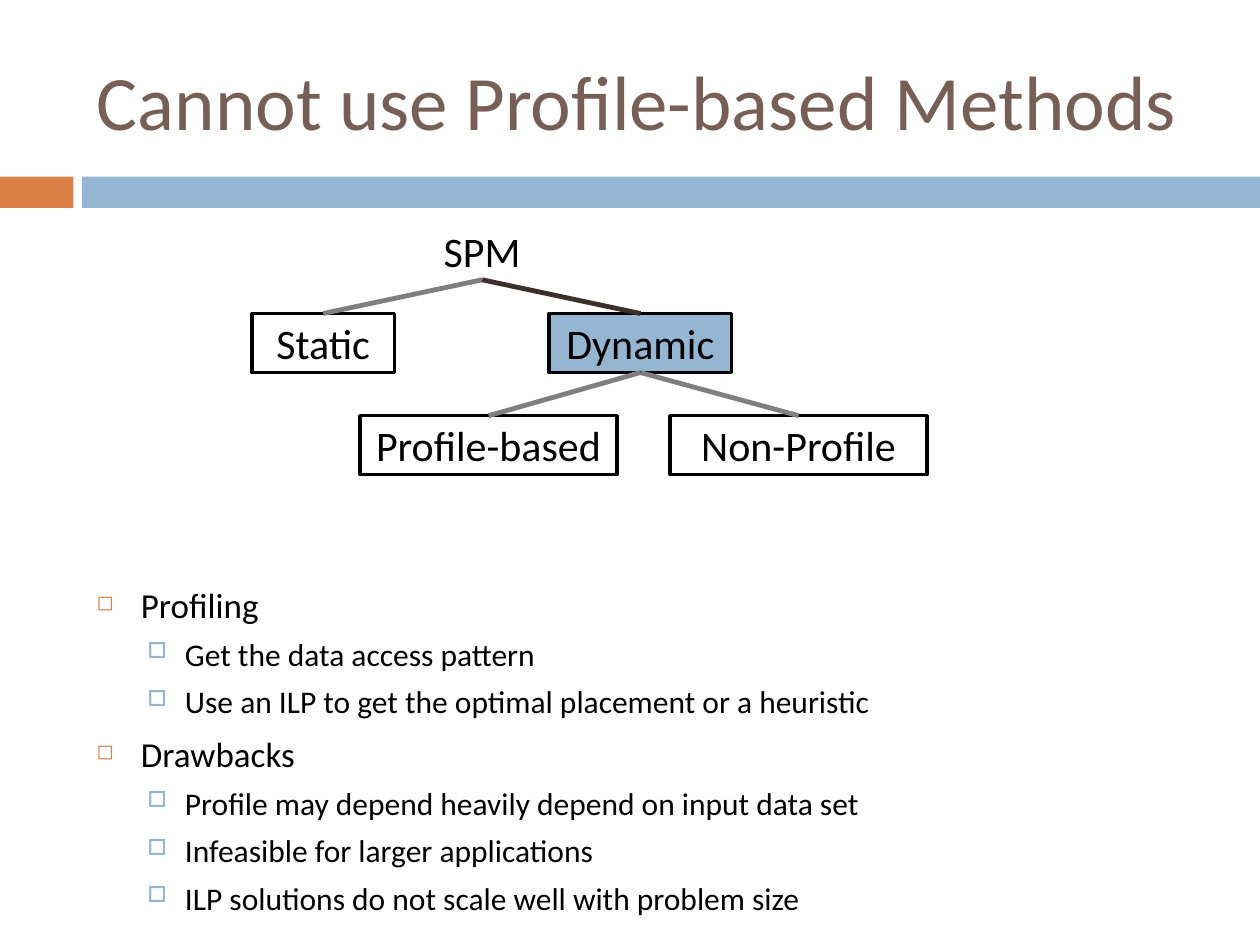
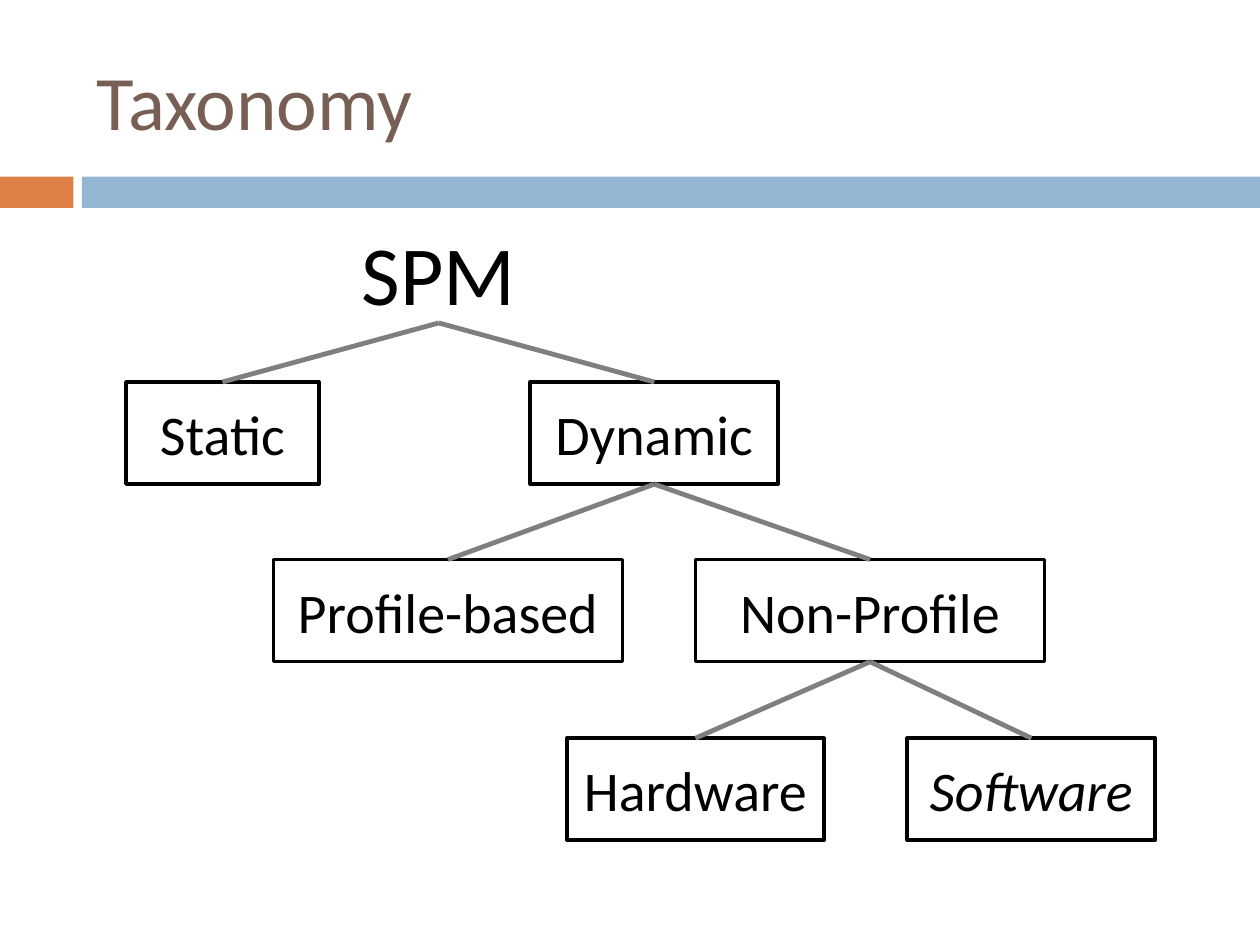
from dataclasses import dataclass

from lxml.etree import SubElement
from pptx import Presentation
from pptx.dml.color import RGBColor
from pptx.enum.shapes import MSO_CONNECTOR, MSO_SHAPE
from pptx.enum.text import MSO_ANCHOR, PP_ALIGN
from pptx.oxml.ns import qn
from pptx.shapes.autoshape import Shape
from pptx.slide import Slide
from pptx.text.text import _Paragraph as Paragraph
from pptx.util import Cm, Pt

ORANGE = RGBColor(0xDD, 0x80, 0x47)
BLUE = RGBColor(0x94, 0xB6, 0xD2)
BROWN = RGBColor(0x77, 0x5F, 0x55)
DARK_BROWN = RGBColor(0x3D, 0x30, 0x2B)
GREY = RGBColor(0x7F, 0x7F, 0x7F)
BLACK = RGBColor(0, 0, 0)

FONT = "Calibri"
PAGE_WIDTH, PAGE_HEIGHT = 25.4, 19.05
MARGIN, CONTENT_WIDTH = 1.7, 22.66
BAND_TOP, BAND_HEIGHT = 3.56, 0.63
BAND_SPLIT, BAND_GAP = 1.48, 0.17
BOTTOM_SITE, TOP_SITE = 2, 0


@dataclass(frozen=True)
class Node:
    name: str
    row: int
    left: float
    width: float
    parent: str = ""
    fill: RGBColor | None = None
    branch: RGBColor = GREY
    italic: bool = False


@dataclass(frozen=True)
class Tree:
    row_tops: tuple[float, ...]
    height: float
    root_size: int
    node_size: int
    nodes: tuple[Node, ...]


@dataclass(frozen=True)
class BulletStyle:
    mark: str
    color: RGBColor
    percent: int
    left: float
    hanging: float
    size: int
    space_before: float


BULLET_STYLES = (
    BulletStyle("◻", ORANGE, 60, 0.89, 0.89, 20, 7),
    BulletStyle("□", BLUE, 70, 1.78, 0.76, 18, 5.5),
)

PROFILE_POINTS = (
    (0, "Profiling"),
    (1, "Get the data access pattern"),
    (1, "Use an ILP to get the optimal placement or a heuristic"),
    (0, "Drawbacks"),
    (1, "Profile may depend heavily depend on input data set"),
    (1, "Infeasible for larger applications"),
    (1, "ILP solutions do not scale well with problem size"),
)

PROFILE_TREE = Tree(
    (4.45, 6.32, 8.38), 1.19, 24, 24,
    (
        Node("SPM", 0, 8.36, 2.72),
        Node("Static", 1, 5.08, 2.87, "SPM"),
        Node("Dynamic", 1, 11.07, 3.68, "SPM", fill=BLUE, branch=DARK_BROWN),
        Node("Profile-based", 2, 7.26, 5.18, "Dynamic"),
        Node("Non-Profile", 2, 13.51, 5.18, "Dynamic"),
    ),
)

TAXONOMY_TREE = Tree(
    (4.45, 7.7, 11.28, 14.88), 2.06, 48, 32,
    (
        Node("SPM", 0, 6.99, 3.71),
        Node("Static", 1, 2.54, 3.89, "SPM"),
        Node("Dynamic", 1, 10.69, 5, "SPM"),
        Node("Profile-based", 2, 5.51, 7.04, "Dynamic"),
        Node("Non-Profile", 2, 14.02, 7.04, "Dynamic"),
        Node("Hardware", 3, 11.43, 5.18, "Non-Profile"),
        Node("Software", 3, 18.29, 5, "Non-Profile", italic=True),
    ),
)


def style_font(para: Paragraph, size: float, color: RGBColor = BLACK) -> None:
    para.font.name = FONT
    para.font.size = Pt(size)
    para.font.color.rgb = color


def add_band(page: Slide, left: float, width: float, color: RGBColor) -> None:
    band = page.shapes.add_shape(
        MSO_SHAPE.RECTANGLE, Cm(left), Cm(BAND_TOP), Cm(width), Cm(BAND_HEIGHT)
    )
    band.shadow.inherit = False
    band.fill.solid()
    band.fill.fore_color.rgb = color
    band.line.fill.background()


def add_page(deck: Presentation, title: str) -> Slide:
    page = deck.slides.add_slide(deck.slide_layouts[6])
    blue_left = BAND_SPLIT + BAND_GAP
    add_band(page, 0, BAND_SPLIT, ORANGE)
    add_band(page, blue_left, PAGE_WIDTH - blue_left, BLUE)
    box = page.shapes.add_textbox(Cm(MARGIN), Cm(0.64), Cm(CONTENT_WIDTH), Cm(2.74))
    box.text_frame.word_wrap = True
    box.text_frame.vertical_anchor = MSO_ANCHOR.MIDDLE
    para = box.text_frame.paragraphs[0]
    para.text = title
    style_font(para, 44, BROWN)
    return page


def add_node(page: Slide, tree: Tree, node: Node) -> Shape:
    place = Cm(node.left), Cm(tree.row_tops[node.row]), Cm(node.width), Cm(tree.height)
    if node.parent:
        box = page.shapes.add_shape(MSO_SHAPE.RECTANGLE, *place)
        box.shadow.inherit = False
        box.line.color.rgb = BLACK
        box.line.width = Pt(2)
        if node.fill:
            box.fill.solid()
            box.fill.fore_color.rgb = node.fill
        else:
            box.fill.background()
    else:
        box = page.shapes.add_textbox(*place)
    box.text_frame.word_wrap = True
    box.text_frame.vertical_anchor = MSO_ANCHOR.MIDDLE
    para = box.text_frame.paragraphs[0]
    para.text = node.name
    para.alignment = PP_ALIGN.CENTER
    style_font(para, tree.node_size if node.parent else tree.root_size)
    if node.italic:
        para.font.italic = True
    return box


def add_branch(page: Slide, parent: Shape, child: Shape, color: RGBColor) -> None:
    branch = page.shapes.add_connector(MSO_CONNECTOR.STRAIGHT, 0, 0, 0, 0)
    branch.begin_connect(parent, BOTTOM_SITE)
    branch.end_connect(child, TOP_SITE)
    branch.line.color.rgb = color
    branch.line.width = Pt(2.75)
    SubElement(branch._element.spPr, qn("a:effectLst"))


def add_tree(page: Slide, tree: Tree) -> None:
    boxes = {node.name: add_node(page, tree, node) for node in tree.nodes}
    for node in tree.nodes:
        if node.parent:
            add_branch(page, boxes[node.parent], boxes[node.name], node.branch)


def set_bullet(para: Paragraph, style: BulletStyle) -> None:
    properties = para._p.get_or_add_pPr()
    properties.set("marL", str(Cm(style.left)))
    properties.set("indent", str(-Cm(style.hanging)))
    color = SubElement(properties, qn("a:buClr"))
    SubElement(color, qn("a:srgbClr"), val=str(style.color))
    SubElement(properties, qn("a:buSzPct"), val=str(style.percent * 1000))
    SubElement(properties, qn("a:buChar"), char=style.mark)


def add_points(page: Slide, top: float, points: tuple[tuple[int, str], ...]) -> None:
    box = page.shapes.add_textbox(
        Cm(MARGIN), Cm(top), Cm(CONTENT_WIDTH), Cm(PAGE_HEIGHT - top)
    )
    frame = box.text_frame
    frame.word_wrap = True
    for index, (level, text) in enumerate(points):
        para = frame.add_paragraph() if index else frame.paragraphs[0]
        style = BULLET_STYLES[level]
        para.text = text
        para.level = level
        set_bullet(para, style)
        if index:
            para.space_before = Pt(style.space_before)
        style_font(para, style.size)


def main() -> None:
    deck = Presentation()
    deck.slide_width, deck.slide_height = Cm(PAGE_WIDTH), Cm(PAGE_HEIGHT)

    profile_page = add_page(deck, "Cannot use Profile-based Methods")
    add_points(profile_page, 11.63, PROFILE_POINTS)
    add_tree(profile_page, PROFILE_TREE)

    taxonomy_page = add_page(deck, "Taxonomy")
    add_tree(taxonomy_page, TAXONOMY_TREE)

    deck.save("out.pptx")


if __name__ == "__main__":
    main()
